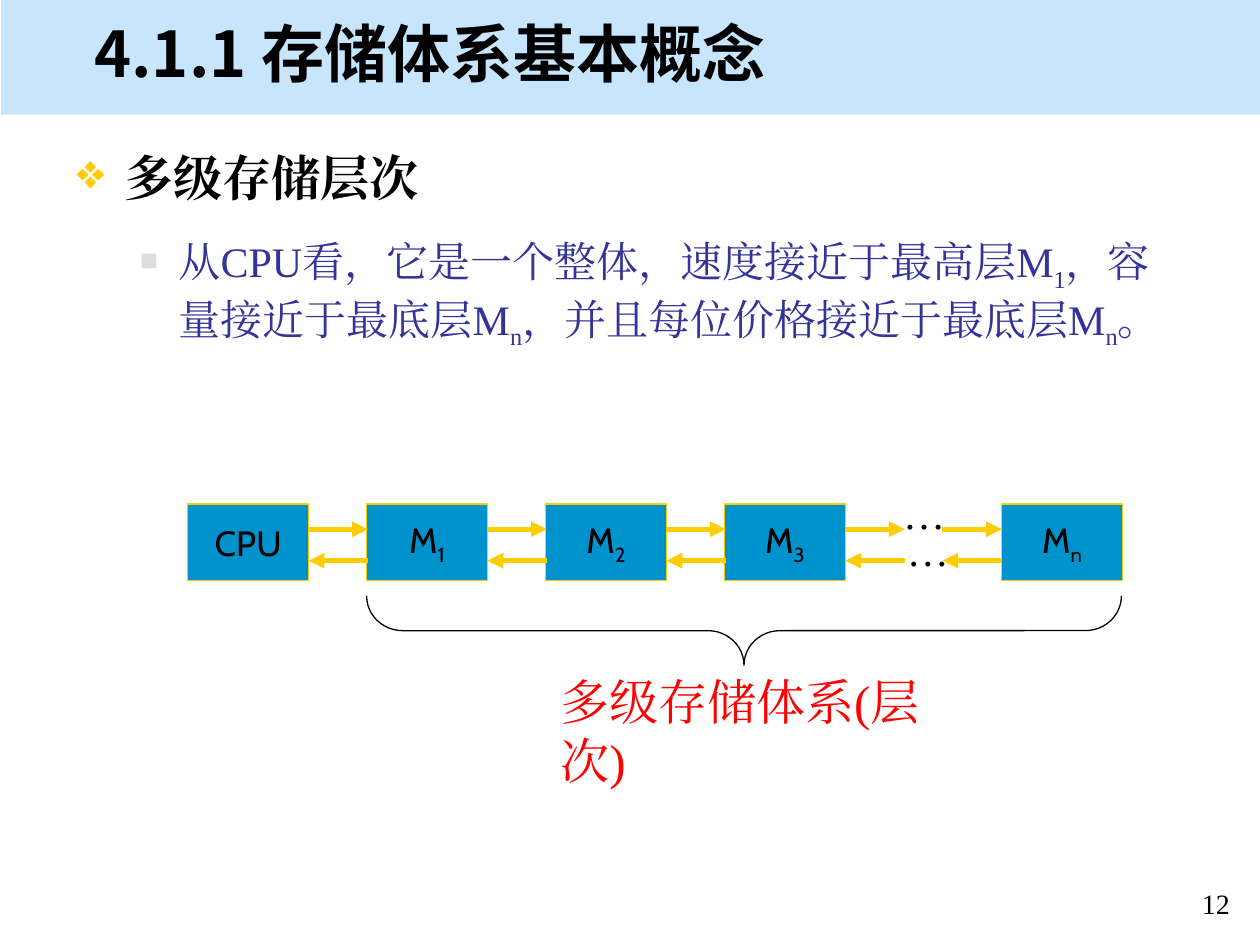
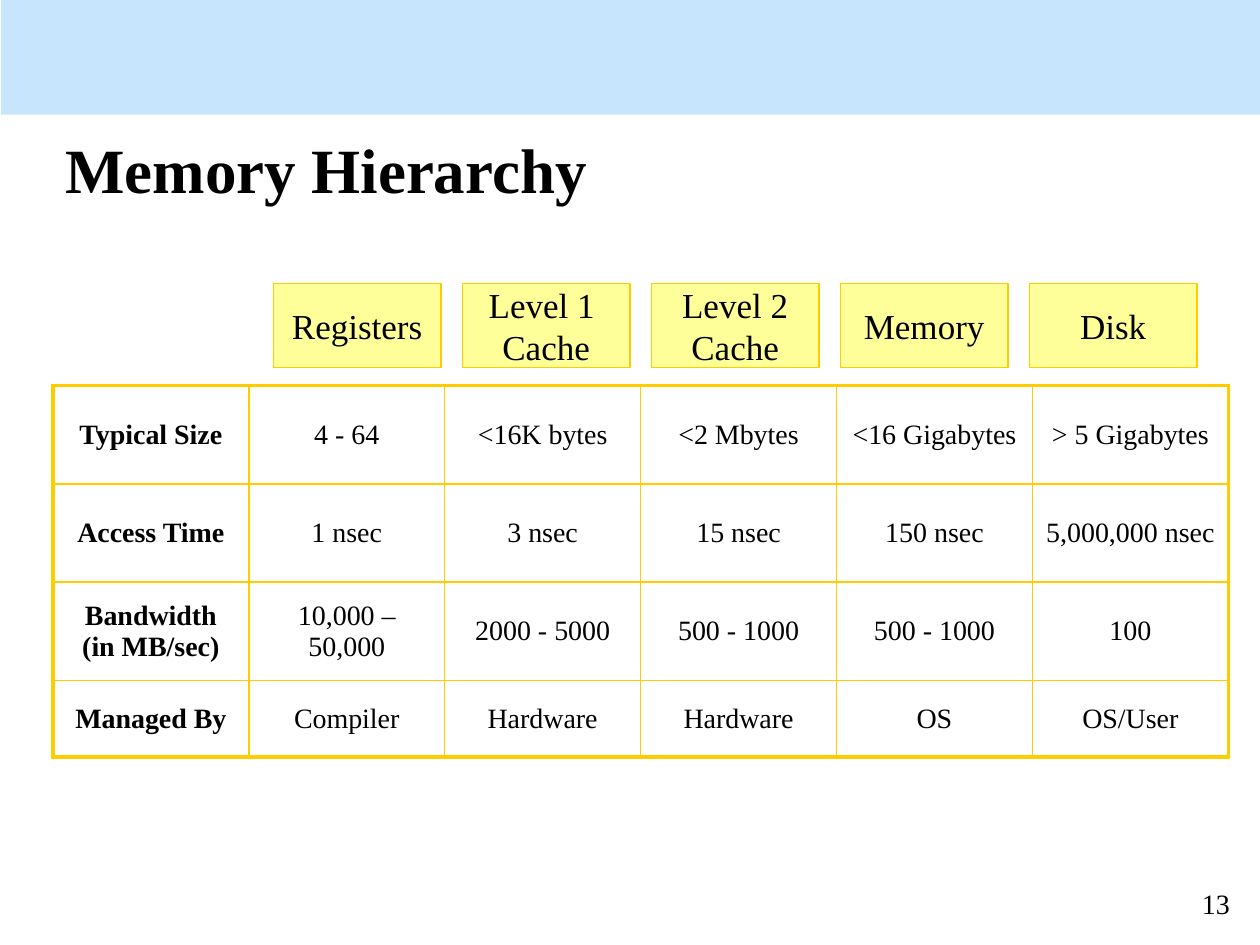
import lxml.etree
import pptx
import pptx.dml.color
import pptx.enum.shapes
import pptx.enum.text
import pptx.oxml.ns
import pptx.util

RGB = pptx.dml.color.RGBColor
SKY = RGB(0xC7, 0xE6, 0xFD)
BLUE = RGB(0x00, 0x92, 0xCC)
NAVY = RGB(0x33, 0x33, 0x99)
GOLD = RGB(0xFF, 0xCC, 0x00)
CREAM = RGB(0xFF, 0xFF, 0x99)
GREY = RGB(0xDD, 0xDD, 0xDD)
RED = RGB(0xFF, 0x00, 0x00)
BLACK = RGB(0x00, 0x00, 0x00)
WHITE = RGB(0xFF, 0xFF, 0xFF)

SERIF = "Times New Roman"
SANS = "Noto Sans CJK SC"
LABEL = "Cabin"

SHAPE = pptx.enum.shapes.MSO_SHAPE
LEFT = pptx.enum.text.PP_ALIGN.LEFT
CENTER = pptx.enum.text.PP_ALIGN.CENTER
MIDDLE = pptx.enum.text.MSO_ANCHOR.MIDDLE
LINE = pptx.enum.shapes.MSO_CONNECTOR.STRAIGHT
Pt = pptx.util.Pt
qn = pptx.oxml.ns.qn
add = lxml.etree.SubElement

# The slide is a grid of 100 columns by 75 rows of square units.
COLS, ROWS = 100, 75
UNIT = pptx.util.Inches(0.1)


def place(shapes, kind, spot, fill=None, edge=None):
    """Add a preset shape, or a text box if kind is None, at a grid spot."""
    spot = [round(n * UNIT) for n in spot]
    if kind is None:
        return shapes.add_textbox(*spot)
    shape = shapes.add_shape(kind, *spot)
    shape.shadow.inherit = False
    if fill is None:
        shape.fill.background()
    else:
        shape.fill.solid()
        shape.fill.fore_color.rgb = fill
    if edge is None:
        shape.line.fill.background()
    else:
        shape.line.color.rgb = edge
        shape.line.width = Pt(0.75)
    return shape


def write(para, text, size, font=SERIF, ink=BLACK, bold=False, align=LEFT):
    """Fill a paragraph; every second part between bars is a subscript."""
    para.alignment = align
    for i, part in enumerate(text.split("|")):
        if not part:
            continue
        run = para.add_run()
        run.text = part
        run.font.size = Pt(size)
        run.font.name = font
        run.font.bold = bold
        run.font.color.rgb = ink
        look = run._r.get_or_add_rPr()
        add(look, qn("a:ea")).set("typeface", font)
        if i % 2:
            look.set("baseline", "-25000")


deck = pptx.Presentation()
deck.slide_width = COLS * UNIT
deck.slide_height = ROWS * UNIT

# Band, title and page number on both slides
heads = [
    ("4.1.1 存储体系基本概念", SANS, (6.5, 0.8, 85.8, 6.7)),
    ("Memory Hierarchy", SERIF, (4.2, 9.6, 85, 7.5)),
]
for page, (title, font, spot) in enumerate(heads, 12):
    slide = deck.slides.add_slide(deck.slide_layouts[6])
    slide.background.fill.solid()
    slide.background.fill.fore_color.rgb = WHITE
    place(slide.shapes, SHAPE.RECTANGLE, (0.1, 0, COLS - 0.1, 9.1), SKY)
    frame = place(slide.shapes, None, spot).text_frame
    frame.word_wrap = True
    frame.vertical_anchor = MIDDLE
    write(frame.paragraphs[0], title, 36, font, bold=True)
    frame = place(slide.shapes, None, (93, 69.9, 7, 3.3)).text_frame
    frame.word_wrap = True
    write(frame.paragraphs[0], str(page), 16, align=CENTER)

# Slide 12: bullets
chain, grid = deck.slides
shapes = chain.shapes
frame = place(shapes, None, (5.1, 11.2, 90, 17.1)).text_frame
frame.word_wrap = True
points = [
    ("多级存储层次", 28, BLACK, True, "❖", GOLD, 100, 0.38, 0.38),
    ("从CPU看，它是一个整体，速度接近于最高层M|1|，容量接近于最底层M|n|，"
     "并且每位价格接近于最底层M|n|。", 24, NAVY, False, "■", GREY, 60, 0.81, 0.31),
]
for i, (text, size, ink, bold, mark, tint, scale, inset, hang) in enumerate(points):
    para = frame.paragraphs[0] if i == 0 else frame.add_paragraph()
    props = para._p.get_or_add_pPr()
    props.set("marL", str(pptx.util.Inches(inset)))
    props.set("indent", str(-pptx.util.Inches(hang)))
    add(add(props, qn("a:buClr")), qn("a:srgbClr")).set("val", str(tint))
    add(props, qn("a:buSzPct")).set("val", str(scale * 1000))
    add(props, qn("a:buChar")).set("char", mark)
    write(para, text, size, ink=ink, bold=bold)
frame.paragraphs[0].space_after = Pt(12)
frame.paragraphs[1].space_before = Pt(5)

# Slide 12: chain of memories
WIDE, HIGH, GAP, TOP = 9.6, 6.1, 4.6, 40
starts = [14.9 + i * (WIDE + GAP) for i in range(4)] + [79.5]
for x, name in zip(starts, ["CPU", "M|1", "M|2", "M|3", "M|n"]):
    box = place(shapes, SHAPE.RECTANGLE, (x, TOP, WIDE, HIGH), BLUE, GOLD)
    box.text_frame.word_wrap = False
    box.text_frame.vertical_anchor = MIDDLE
    write(box.text_frame.paragraphs[0], name, 20, LABEL, align=CENTER)

REACH = 4.7
for x in [x + WIDE for x in starts[:4]] + [starts[4] - REACH]:
    for tail, tip, y in [(x, x + REACH, 42), (x + REACH, x, 44.5)]:
        ends = [round(n * UNIT) for n in (tail, y, tip, y)]
        arrow = shapes.add_connector(LINE, *ends)
        arrow.line.color.rgb = GOLD
        arrow.line.width = Pt(3)
        add(arrow.line._get_or_add_ln(), qn("a:tailEnd")).set("type", "triangle")
        add(arrow._element.spPr, qn("a:effectLst"))

for x, y in [(70.7, 38.2), (71, 41.1)]:
    frame = place(shapes, None, (x, y, 5.4, 5.1)).text_frame
    frame.word_wrap = False
    write(frame.paragraphs[0], "…", 24)

brace = place(shapes, SHAPE.LEFT_BRACE, (56.3, 20.1, 5.5, 59.9), edge=BLACK)
brace.rotation = 270
brace.adjustments[0] = 0.52
brace.adjustments[1] = 0.5
frame = place(shapes, None, (43.5, 52.8, 35, 5.7)).text_frame
frame.word_wrap = True
write(frame.paragraphs[0], "多级存储体系(层次)", 28, ink=RED)

# Slide 13: column heads
group = grid.shapes.add_group_shape()
levels = ["Registers", "Level 1 \nCache", "Level 2\nCache", "Memory", "Disk"]
for i, level in enumerate(levels):
    spot = (21.7 + 15 * i, 22.5, 13.3, 6.7)
    box = place(group.shapes, SHAPE.RECTANGLE, spot, CREAM, GOLD)
    frame = box.text_frame
    frame.word_wrap = False
    frame.vertical_anchor = MIDDLE
    for j, text in enumerate(level.split("\n")):
        para = frame.paragraphs[0] if j == 0 else frame.add_paragraph()
        write(para, text, 20, align=CENTER)

# Slide 13: table
facts = [
    ["Typical Size", "4 - 64", "<16K bytes", "<2 Mbytes", "<16 Gigabytes", "> 5 Gigabytes"],
    ["Access Time", "1 nsec", "3 nsec", "15 nsec", "150 nsec", "5,000,000 nsec"],
    ["Bandwidth (in MB/sec)", "10,000 – 50,000", "2000 - 5000", "500 - 1000",
     "500 - 1000", "100"],
    ["Managed By", "Compiler", "Hardware", "Hardware", "OS", "OS/User"],
]
highs = [7.8, 7.8, 7.8, 6.1]
last, end = len(facts) - 1, len(facts[0]) - 1
spot = [round(n * UNIT) for n in (4.2, 30.6, 93.3, sum(highs))]
table = grid.shapes.add_table(last + 1, end + 1, *spot).table
table.first_row = table.horz_banding = False
for r, facts_row in enumerate(facts):
    table.rows[r].height = round(highs[r] * UNIT)
    for c, text in enumerate(facts_row):
        cell = table.cell(r, c)
        cell.vertical_anchor = MIDDLE
        write(cell.text_frame.paragraphs[0], text, 16, bold=c == 0, align=CENTER)
        props = cell._tc.get_or_add_tcPr()
        outer = {"L": c == 0, "R": c == end, "T": r == 0, "B": r == last}
        for side, thick in outer.items():
            rule = add(props, qn("a:ln" + side))
            rule.set("w", str(Pt(2.25 if thick else 1)))
            add(add(rule, qn("a:solidFill")), qn("a:srgbClr")).set("val", str(GOLD))
        cell.fill.background()

deck.save("out.pptx")
